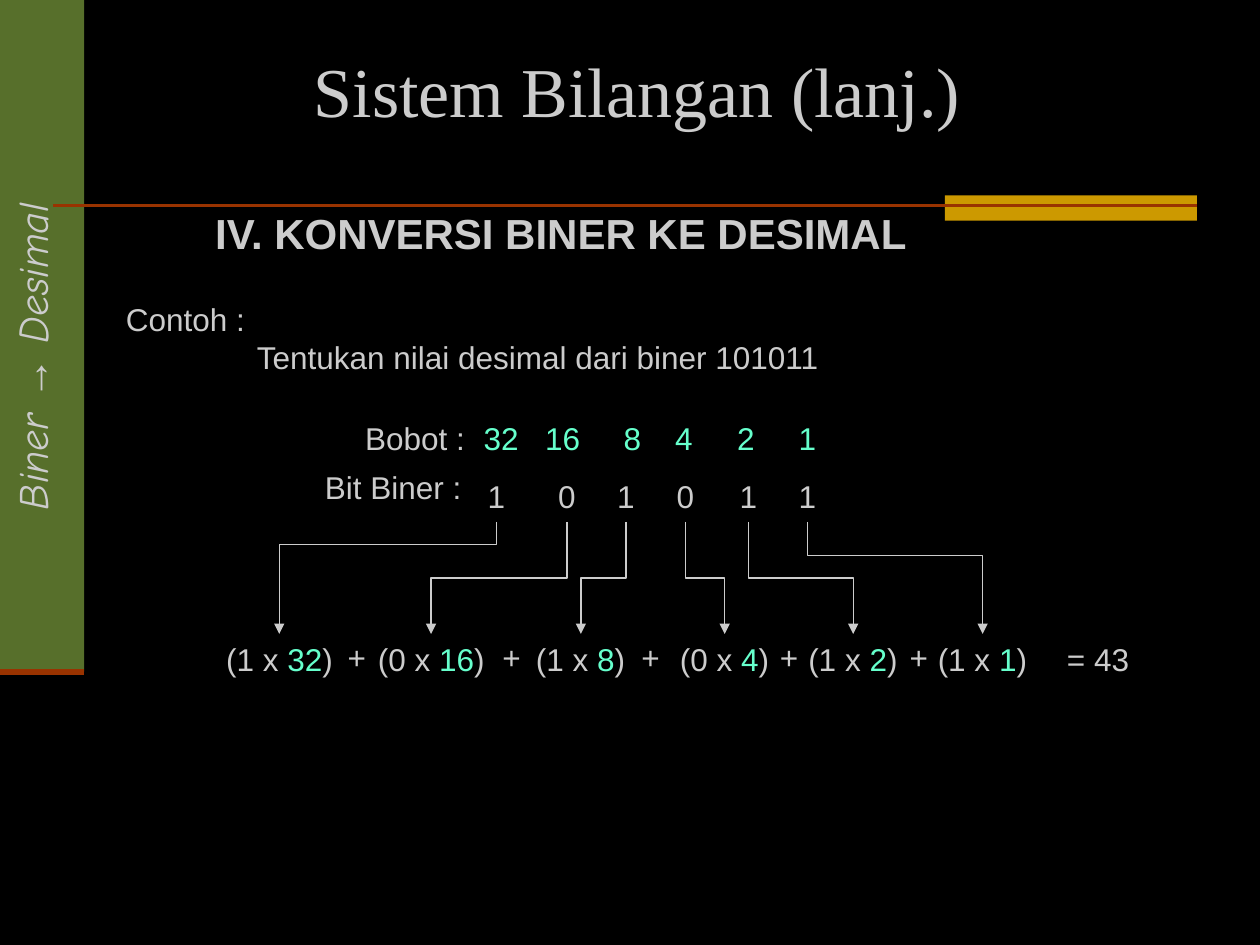
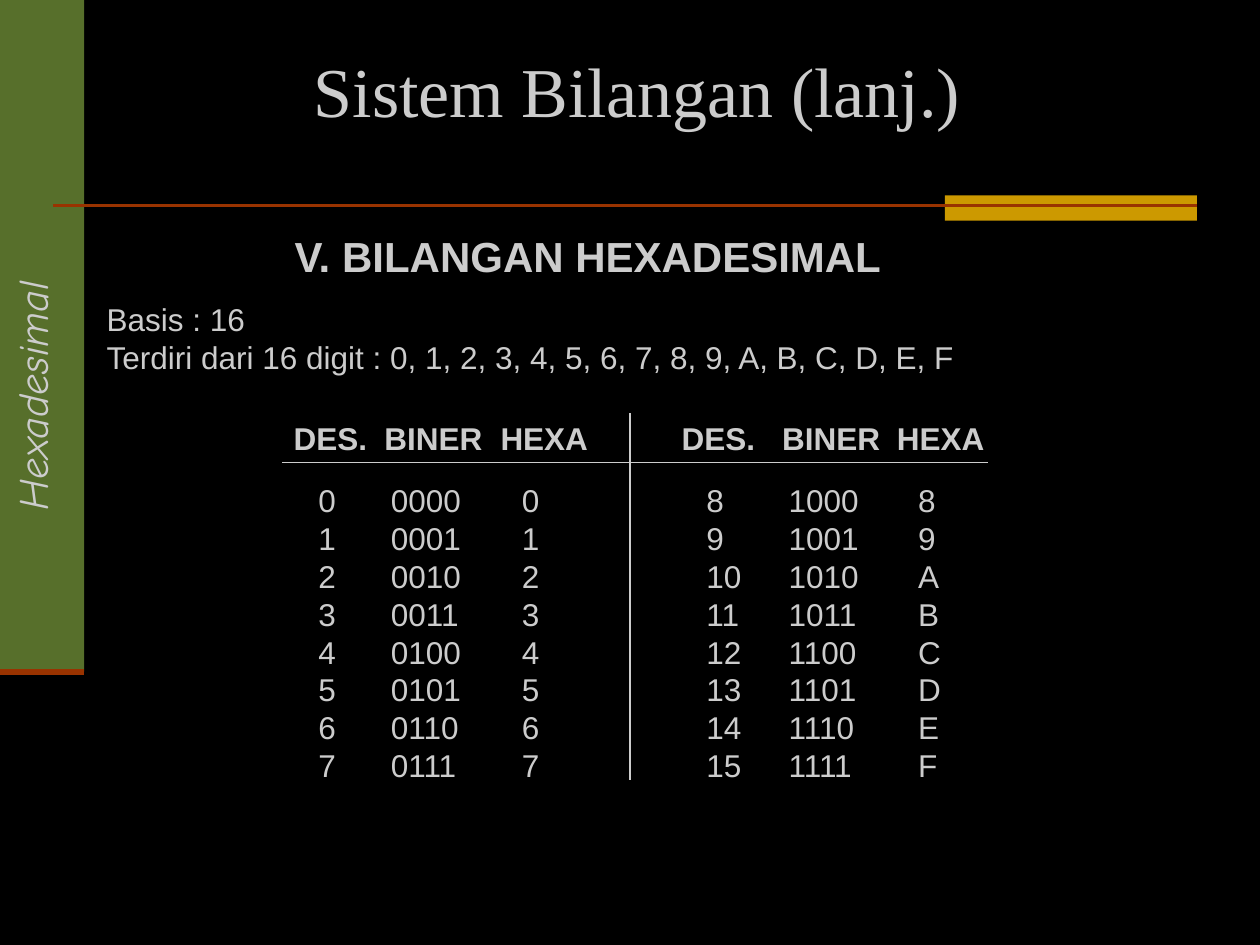
from lxml.etree import SubElement
from pptx import Presentation
from pptx.dml.color import RGBColor
from pptx.enum.shapes import MSO_CONNECTOR, MSO_SHAPE
from pptx.enum.text import MSO_ANCHOR, PP_ALIGN
from pptx.oxml.ns import qn
from pptx.util import Cm, Pt

GREY = "CCCCCC"
MINT = "66FFCC"
GREEN = "576F2B"
GOLD = "CC9900"
RUST = "993300"
NO_GRID_STYLE = "{2D5ABB26-0587-4C30-8999-92F81FD0307C}"
LINE_HEIGHT = 1.02
color = RGBColor.from_string


def write(paragraph, runs, size=18, font="Arial", bold=False, italic=False):
    paragraph.alignment = PP_ALIGN.LEFT
    for text, hex_color in runs:
        run = paragraph.add_run()
        run.text = text
        run.font.name = font
        run.font.size = Pt(size)
        run.font.bold = bold
        run.font.italic = italic
        run.font.color.rgb = color(hex_color)


def add_text(slide, left, top, width, height, runs, **style):
    box = slide.shapes.add_textbox(Cm(left), Cm(top), Cm(width), Cm(height))
    box.text_frame.word_wrap = True
    box.text_frame.margin_right = 0
    write(box.text_frame.paragraphs[0], runs, **style)
    return box


presentation = Presentation()
presentation.slide_width = Cm(25.4)
presentation.slide_height = Cm(19.05)
lines = []

topics = [
    ["Biner ", "→", " Desimal"],
    ["Hexadesimal"],
]
for topic in topics:
    slide = presentation.slides.add_slide(presentation.slide_layouts[5])
    slide.background.fill.solid()
    slide.background.fill.fore_color.rgb = color("000000")

    for left, top, width, height, fill in [
        (0, 0, 1.7, 13.54, GREEN),
        (19.05, 3.94, 5.08, 0.51, GOLD),
    ]:
        band = slide.shapes.add_shape(
            MSO_SHAPE.RECTANGLE, Cm(left), Cm(top), Cm(width), Cm(height))
        band.shadow.inherit = False
        band.fill.solid()
        band.fill.fore_color.rgb = color(fill)
        band.line.fill.background()

    for left, right, y, weight in [(1.07, 24.13, 4.14, 1.5), (0, 1.7, 13.54, 3.5)]:
        rule = slide.shapes.add_connector(
            MSO_CONNECTOR.STRAIGHT, Cm(left), Cm(y), Cm(right), Cm(y))
        lines.append((rule, RUST, weight))

    title = slide.shapes.title
    title.left, title.top = Cm(6.07), Cm(0.84)
    title.width, title.height = Cm(13.54), Cm(1.96)
    title.text_frame.word_wrap = True
    title.text_frame.margin_right = 0
    title.text_frame.vertical_anchor = MSO_ANCHOR.TOP
    write(title.text_frame.paragraphs[0], [("Sistem Bilangan (lanj.)", GREY)],
          size=40, font="Times New Roman")

    sidebar = add_text(slide, -3.15, 6.1, 7.59, 1.27, [(part, GREY) for part in topic],
                       size=24, font="Comic Neue", italic=True)
    sidebar.rotation = 270
    for run in sidebar.text_frame.paragraphs[0].runs:
        if run.text == "→":
            run.font.name = "Arial"

binary_slide, hexa_slide = presentation.slides

add_text(binary_slide, 4.09, 4.06, 14.6, 1.27,
         [("IV. KONVERSI BINER KE DESIMAL", GREY)], size=24, bold=True)
example = add_text(binary_slide, 2.29, 5.92, 20.8, 1.78, [("Contoh :", GREY)])
question = example.text_frame.add_paragraph()
properties = question._p.get_or_add_pPr()
properties.set("marL", str(Cm(2.64)))
properties.set("indent", "0")
write(question, [("Tentukan nilai desimal dari biner 101011", GREY)])

for left, top, width, label in [
    (7.11, 8.33, 2.51, "Bobot :"),
    (6.3, 9.32, 3.25, "Bit Biner :"),
    (21.26, 12.78, 1.75, "= 43"),
]:
    add_text(binary_slide, left, top, width, LINE_HEIGHT, [(label, GREY)])

weights = ["32", "16", "8", "4", "2", "1"]
weight_row = add_text(binary_slide, 9.5, 8.33, 7.21, LINE_HEIGHT,
                      [("\t".join(weights), MINT)])
tab_list = SubElement(
    weight_row.text_frame.paragraphs[0]._p.get_or_add_pPr(), qn("a:tabLst"))
for position in [1.24, 2.82, 3.86, 5.11, 6.35]:
    SubElement(tab_list, qn("a:tab"), pos=str(Cm(position)), algn="l")

bit_centers = [10.01, 11.43, 12.62, 13.82, 15.09, 16.28]
term_centers = [5.63, 8.69, 11.71, 14.61, 17.2, 19.81]
bends = [0.2, 0.5, 0.5, 0.5, 0.5, 0.3]
arrow_top, arrow_bottom = 10.52, 12.78
half_drop = (arrow_bottom - arrow_top) / 2
middle_y = arrow_top + half_drop
for bit, weight, start, end, bend in zip("101011", weights, bit_centers, term_centers, bends):
    add_text(binary_slide, start - 0.43, 9.5, 0.86, LINE_HEIGHT, [(bit, GREY)])
    term_width = 2.64 if len(weight) == 2 else 2.31
    add_text(binary_slide, end - term_width / 2, arrow_bottom, term_width, LINE_HEIGHT,
             [(f"({bit} x ", GREY), (weight, MINT), (")", GREY)])

    middle_x = (start + end) / 2
    half_span = abs(end - start) / 2
    direction = 1 if end < start else -1
    arrow = binary_slide.shapes.add_connector(
        MSO_CONNECTOR.ELBOW,
        Cm(middle_x - direction * half_drop), Cm(middle_y - half_span),
        Cm(middle_x + direction * half_drop), Cm(middle_y + half_span))
    properties = arrow._element.spPr
    properties.find(qn("a:xfrm")).set("rot", str((90 if direction == 1 else 270) * 60000))
    geometry = properties.find(qn("a:prstGeom"))
    adjustments = geometry.find(qn("a:avLst"))
    if adjustments is None:
        adjustments = SubElement(geometry, qn("a:avLst"))
    SubElement(adjustments, qn("a:gd"), name="adj1", fmla=f"val {round(bend * 100000)}")
    lines.append((arrow, GREY, 0.75))

for center in [7.19, 10.31, 13.11, 15.9, 18.52]:
    add_text(binary_slide, center - 0.43, 12.73, 0.86, LINE_HEIGHT, [("+", GREY)])

add_text(hexa_slide, 5.69, 4.52, 14, 1.27,
         [("V. BILANGAN HEXADESIMAL", GREY)], size=24, bold=True)
basis = add_text(hexa_slide, 1.9, 5.92, 22.71, 1.78, [("Basis : 16", GREY)])
write(basis.text_frame.add_paragraph(),
      [("Terdiri dari 16 digit : 0, 1, 2, 3, 4, 5, 6, 7, 8, 9, A, B, C, D, E, F", GREY)])

header_height, row_height = 1.26, 0.76
for first, left, column_widths in [(0, 5.92, [1.83, 2.34, 2]), (8, 13.74, [2.03, 2.31, 2])]:
    rows = [("DES.", "BINER", "HEXA")]
    rows += [(f"{n}", f"{n:04b}", f"{n:X}") for n in range(first, first + 8)]
    frame = hexa_slide.shapes.add_table(
        len(rows), 3, Cm(left), Cm(8.5), Cm(sum(column_widths)),
        Cm(header_height + 8 * row_height))
    table = frame.table
    table.first_row = False
    table.horz_banding = False
    table._tbl.tblPr.find(qn("a:tableStyleId")).text = NO_GRID_STYLE
    for column, width in zip(table.columns, column_widths):
        column.width = Cm(width)
    for row_index, values in enumerate(rows):
        is_header = row_index == 0
        table.rows[row_index].height = Cm(header_height if is_header else row_height)
        for column_index, (value, inset) in enumerate(zip(values, [0.5, 0.13, 0.43])):
            cell = table.cell(row_index, column_index)
            cell.fill.background()
            cell.margin_left = Cm(0 if is_header else inset)
            cell.margin_right = cell.margin_top = cell.margin_bottom = 0
            write(cell.text_frame.paragraphs[0], [(value, GREY)], bold=is_header)

for x1, y1, x2, y2 in [(12.7, 8.33, 12.7, 15.72), (5.69, 9.32, 19.91, 9.32)]:
    divider = hexa_slide.shapes.add_connector(
        MSO_CONNECTOR.STRAIGHT, Cm(x1), Cm(y1), Cm(x2), Cm(y2))
    lines.append((divider, GREY, 0.75))

for connector, hex_color, weight in lines:
    connector.line.color.rgb = color(hex_color)
    connector.line.width = Pt(weight)
    properties = connector._element.spPr
    if properties.find(qn("a:prstGeom")).get("prst") == "bentConnector3":
        SubElement(properties.find(qn("a:ln")), qn("a:tailEnd"), type="triangle")
    SubElement(properties, qn("a:effectLst"))

presentation.save("out.pptx")
